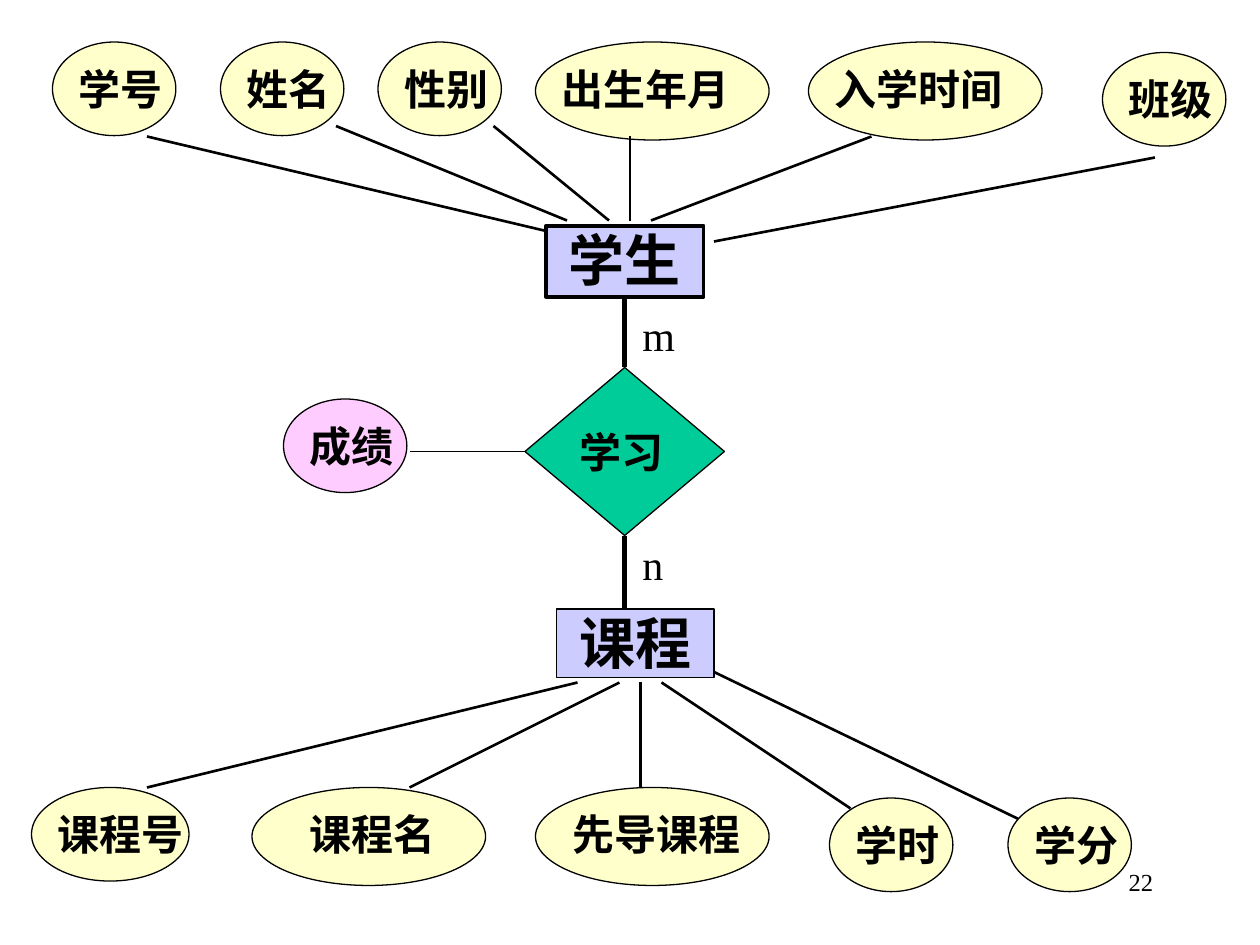
from dataclasses import dataclass

from lxml.etree import SubElement
from pptx import Presentation
from pptx.dml.color import RGBColor
from pptx.enum.shapes import MSO_CONNECTOR, MSO_SHAPE
from pptx.enum.text import MSO_ANCHOR, MSO_AUTO_SIZE, PP_ALIGN
from pptx.oxml.ns import qn
from pptx.util import Pt


@dataclass(frozen=True)
class Theme:
    """Colours, typeface, type sizes and line widths of the diagram."""

    ink: str = "000000"
    entity: str = "CCCCFF"
    attribute: str = "FFFFCC"
    relationship: str = "00CC99"
    relationship_attribute: str = "FFCCFF"
    face: str = "Times New Roman"
    entity_size: float = 32
    label_size: float = 24
    page_size: float = 14
    thin: float = 0.75
    medium: float = 1.5
    frame: float = 2.25
    thick: float = 3


class ErDiagram:
    """Draws entity-relationship elements on one slide, in points."""

    def __init__(self, slide, theme):
        self.shapes = slide.shapes
        self.theme = theme

    def set_text(self, shape, text, size, bold=True, align=PP_ALIGN.CENTER, inset=True):
        """Put one formatted line of text into a shape."""
        frame = shape.text_frame
        frame.word_wrap = True
        frame.auto_size = MSO_AUTO_SIZE.SHAPE_TO_FIT_TEXT
        frame.vertical_anchor = MSO_ANCHOR.TOP
        if not inset:
            frame.margin_left = frame.margin_right = Pt(0)
            frame.margin_top = frame.margin_bottom = Pt(0)
        line = frame.paragraphs[0]
        line.text = text
        line.alignment = align
        line.font.name = self.theme.face
        line.font.size = Pt(size)
        line.font.bold = bold
        line.font.color.rgb = RGBColor.from_string(self.theme.ink)

    def label(self, text, box, size=None, **style):
        """Add a text box."""
        label = self.shapes.add_textbox(*map(Pt, box))
        self.set_text(label, text, size or self.theme.label_size, **style)

    def figure(self, preset, box, fill, width):
        """Add a filled and outlined preset shape."""
        figure = self.shapes.add_shape(preset, *map(Pt, box))
        figure.shadow.inherit = False
        figure.fill.solid()
        figure.fill.fore_color.rgb = RGBColor.from_string(fill)
        figure.line.color.rgb = RGBColor.from_string(self.theme.ink)
        figure.line.width = Pt(width)
        return figure

    def entity(self, name, box, width):
        """Add a named entity rectangle."""
        entity = self.figure(MSO_SHAPE.RECTANGLE, box, self.theme.entity, width)
        self.set_text(entity, name, self.theme.entity_size, inset=False)
        return entity

    def attribute(self, name, left, top, size, label_width, indent=12, fill=None):
        """Add an attribute ellipse and its name."""
        fill = fill or self.theme.attribute
        self.figure(MSO_SHAPE.OVAL, (left, top, *size), fill, self.theme.thin)
        self.label(name, (left + indent, top + 12, label_width, 29), inset=False)

    def relationship(self, name, box):
        """Add a relationship diamond and its name."""
        left, top = box[:2]
        diamond = self.figure(MSO_SHAPE.DIAMOND, box, self.theme.relationship, self.theme.thin)
        self.label(name, (left + 24, top + 30, 72, 36), align=PP_ALIGN.LEFT)
        return diamond

    def link(self, start, end, width, begin_at=None, end_at=None):
        """Add a straight line, joined to the (shape, side) pairs given."""
        link = self.shapes.add_connector(MSO_CONNECTOR.STRAIGHT, *map(Pt, (*start, *end)))
        link.line.color.rgb = RGBColor.from_string(self.theme.ink)
        link.line.width = Pt(width)
        SubElement(link._element.spPr, qn("a:effectLst"))
        if begin_at:
            link.begin_connect(*begin_at)
        if end_at:
            link.end_connect(*end_at)


SMALL, MIDDLE, WIDE = (70.5, 53.5), (90, 53.5), (133.5, 56)
TOP, LEFT, BOTTOM = 0, 1, 2

STUDENT_ATTRIBUTES = [
    ("学号", 30, 24, SMALL, 54),
    ("姓名", 126, 24, SMALL, 54),
    ("性别", 216, 24, SMALL, 54),
    ("出生年月", 306, 24, WIDE, 102),
    ("入学时间", 462, 24, WIDE, 102),
    ("班级", 630, 30, SMALL, 54),
]
COURSE_ATTRIBUTES = [
    ("课程号", 18, 450, MIDDLE, 90, 6),
    ("课程名", 144, 450, WIDE, 102, 18),
    ("先导课程", 306, 450, WIDE, 102, 18),
    ("学时", 474, 456, SMALL, 54),
    ("学分", 576, 456, SMALL, 54),
]
ATTRIBUTE_LINKS = [
    ((84, 78), (312, 132)),
    ((192, 72), (324, 126)),
    ((282, 72), (348, 126)),
    ((360, 78), (360, 126)),
    ((498, 78), (372, 126)),
    ((660, 90), (408, 138)),
    ((330, 390), (84, 450)),
    ((354, 390), (234, 450)),
    ((366, 390), (366, 450)),
    ((378, 390), (486, 462)),
    ((408, 384), (582, 468)),
]


def main():
    """Build the student and course diagram."""
    deck = Presentation()
    deck.slide_width, deck.slide_height = Pt(720), Pt(540)
    theme = Theme()
    diagram = ErDiagram(deck.slides.add_slide(deck.slide_layouts[6]), theme)

    diagram.label("22", (516, 492, 150, 36), theme.page_size, bold=False, align=PP_ALIGN.RIGHT)
    student = diagram.entity("学生", (312, 129, 90, 40.5), theme.frame)
    diagram.entity("课程", (318, 348, 90, 39), theme.thin)
    for attribute in STUDENT_ATTRIBUTES + COURSE_ATTRIBUTES:
        diagram.attribute(*attribute)
    study = diagram.relationship("学习", (300, 210, 114, 96))
    diagram.attribute("成绩", 162, 228, SMALL, 54, fill=theme.relationship_attribute)

    for start, end in ATTRIBUTE_LINKS:
        diagram.link(start, end, theme.medium)
    diagram.link((300, 258), (234, 258), theme.thin, begin_at=(study, LEFT))
    diagram.link((357, 210), (357, 169.5), theme.thick, (study, TOP), (student, BOTTOM))
    diagram.link((357, 306), (357, 348), theme.thick, begin_at=(study, BOTTOM))
    for cardinality, top in (("m", 173.5), ("n", 304)):
        diagram.label(cardinality, (360, top, 45, 36), bold=False, align=PP_ALIGN.LEFT)

    deck.save("out.pptx")


if __name__ == "__main__":
    main()
